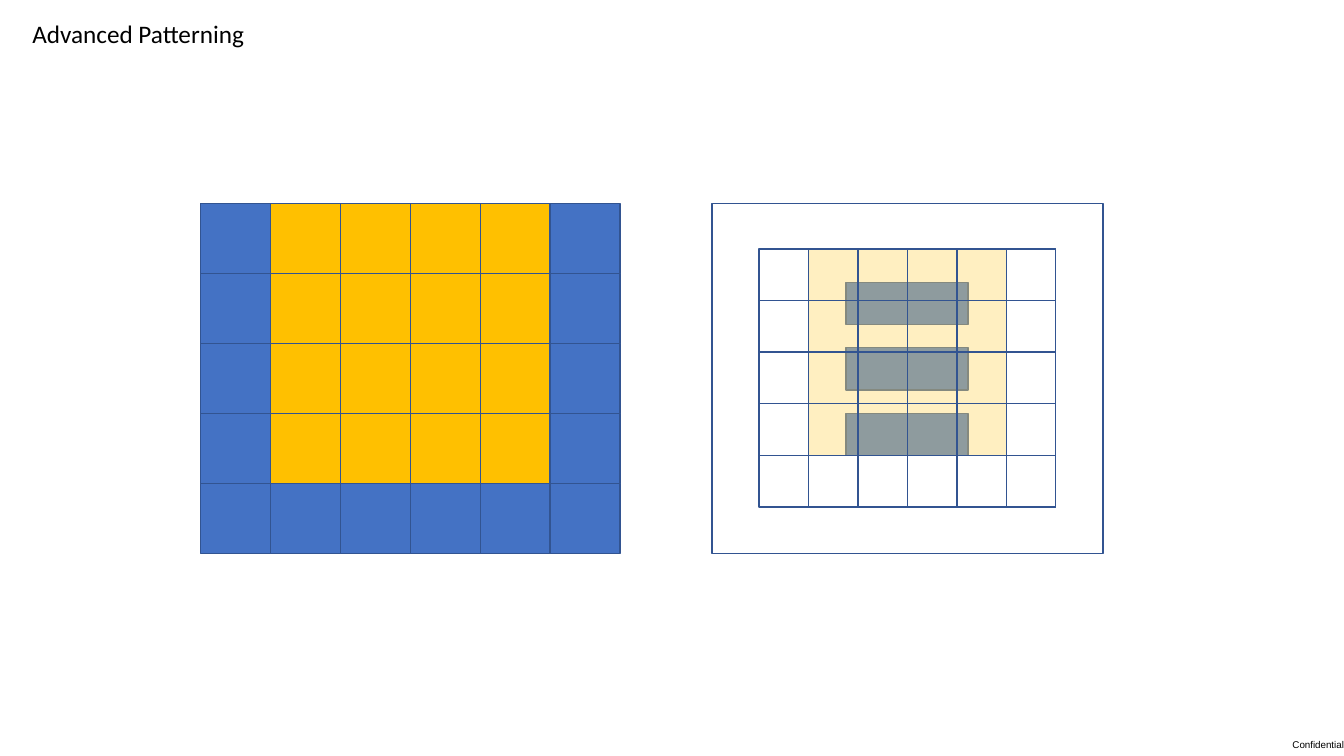
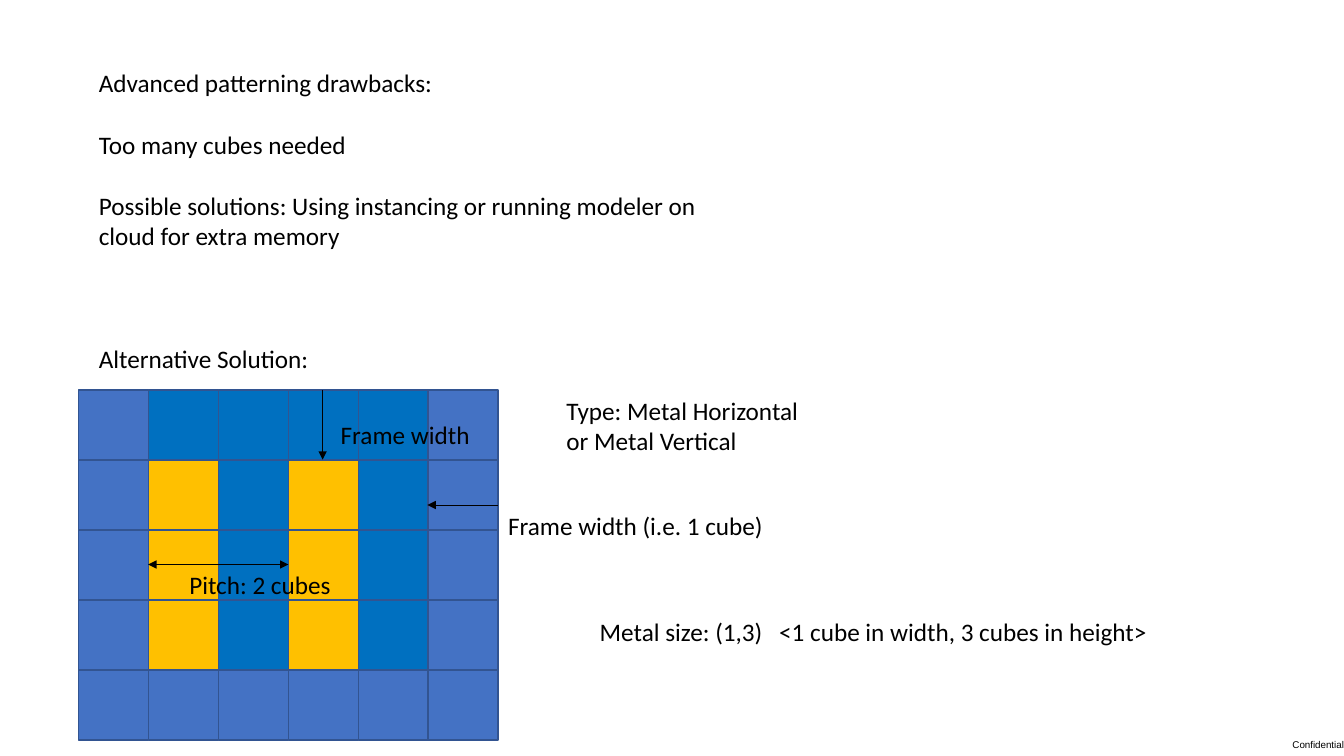
from lxml.etree import SubElement
from pptx import Presentation
from pptx.dml.color import RGBColor
from pptx.enum.shapes import MSO_CONNECTOR as Connector, MSO_SHAPE as Shape
from pptx.enum.text import MSO_ANCHOR as Anchor, MSO_AUTO_SIZE as AutoSize, PP_ALIGN as Align
from pptx.oxml.ns import qn
from pptx.util import Inches, Pt

BLUE, DEEP_BLUE, GOLD, PALE_GOLD = "4472C4", "0070C0", "FFC000", "FFD966"
OUTLINE, BLACK, WHITE = "325491", "000000", "FFFFFF"
LINE_HEIGHT = 22  # points, one line of 18 pt text


def color(hex_code):
    return RGBColor.from_string(hex_code)


class Sheet:
    """Shared style and the current slide."""
    font, size = "Calibri", 18

    def __init__(self):
        self.deck = Presentation()
        self.deck.slide_width, self.deck.slide_height = Inches(13.33), Inches(7.5)
        self.page = None

    def new_page(self, layout):
        self.page = self.deck.slides.add_slide(self.deck.slide_layouts[layout])
        footer = self.text("Confidential", 12.57, 7.28, 0.76, 0.22, size=7, font="Arial")
        frame = footer.text_frame
        frame.margin_left = frame.margin_right = frame.margin_top = frame.margin_bottom = 0
        frame.vertical_anchor = Anchor.MIDDLE
        frame.paragraphs[0].alignment = Align.RIGHT

    def place(self, box, left, top, width, height):
        box.left, box.top = Inches(left), Inches(top)
        box.width, box.height = Inches(width), Inches(height)

    def format(self, box, size=None, font=None):
        frame = box.text_frame
        frame.word_wrap, frame.auto_size = True, AutoSize.NONE
        frame.vertical_anchor = Anchor.TOP
        for para in frame.paragraphs:
            para.alignment = Align.LEFT
            para.space_before = Pt(0)
            for span in para.runs:
                span.font.name = font or self.font
                span.font.size = Pt(size or self.size)
                span.font.color.rgb = color(BLACK)

    def text(self, words, left, top, width, height=0.4, size=None, font=None):
        box = self.page.shapes.add_textbox(
            Inches(left), Inches(top), Inches(width), Inches(height))
        box.text_frame.text = words
        self.format(box, size, font)
        return box

    def title(self, words, left, top, width):
        box = self.page.shapes.title
        self.place(box, left, top, width, 0.4)
        box.text_frame.text = words
        self.format(box)

    def body(self, items, left, top, width, height):
        """Plain list; each item is its text and the blank lines above it."""
        box = self.page.placeholders[1]
        self.place(box, left, top, width, height)
        box.text_frame.text = "\n".join(words for words, _ in items)
        self.format(box)
        for para, (_, gap) in zip(box.text_frame.paragraphs, items):
            para.space_before = Pt(gap * LINE_HEIGHT)
            props = para._p.get_or_add_pPr()
            props.set("marL", "0")
            props.set("indent", "0")
            SubElement(props, qn("a:buNone"))

    def tab_stop(self, box, position):
        props = box.text_frame.paragraphs[0]._p.get_or_add_pPr()
        stops = SubElement(props, qn("a:tabLst"))
        SubElement(stops, qn("a:tab"), pos=str(Inches(position)), algn="l")

    def group(self):
        return self.page.shapes.add_group_shape()

    def rect(self, group, left, top, width, height, fill=None, opacity=100):
        shape = group.shapes.add_shape(
            Shape.RECTANGLE, Inches(left), Inches(top), Inches(width), Inches(height))
        shape.shadow.inherit = False
        shape.line.color.rgb, shape.line.width = color(OUTLINE), Pt(1)
        if fill is None:
            shape.fill.background()
            return
        shape.fill.solid()
        shape.fill.fore_color.rgb = color(fill)
        if opacity < 100:
            tint = shape._element.spPr.find(qn("a:solidFill"))[0]
            SubElement(tint, qn("a:alpha"), val=str(opacity * 1000))

    def grid(self, group, pattern, fills, left, top, width, height, opacity=100):
        """One cell per letter of the pattern; fills gives each letter's colour."""
        cell_width, cell_height = width / len(pattern[0]), height / len(pattern)
        for row, letters in enumerate(pattern):
            for column, letter in enumerate(letters):
                self.rect(group, left + column * cell_width, top + row * cell_height,
                          cell_width, cell_height, fills[letter], opacity)

    def arrow(self, start, end, both=False):
        line = self.page.shapes.add_connector(
            Connector.STRAIGHT, *(Inches(value) for value in (*start, *end)))
        line.line.color.rgb, line.line.width = color(BLACK), Pt(0.5)
        outline = line.line._get_or_add_ln()
        for tag in ("a:headEnd", "a:tailEnd") if both else ("a:tailEnd",):
            SubElement(outline, qn(tag), type="triangle")
        SubElement(line._element.spPr, qn("a:effectLst"))


sheet = Sheet()
GRID_SIZE = (4.16, 3.47)
CORE_PATTERN = ["FCCCCF"] * 4 + ["FFFFFF"]

# Slide 1: cube grid and the same grid laid over metal bars
sheet.new_page(5)
sheet.title("Advanced Patterning", 0.22, 0.13, 3.16)
sheet.grid(sheet.group(), CORE_PATTERN, {"F": BLUE, "C": GOLD}, 1.99, 2.02, *GRID_SIZE)

overlay = sheet.group()
sheet.rect(overlay, 7.06, 2.02, 3.88, 3.47, WHITE)
for bar in range(3):
    sheet.rect(overlay, 8.39, 2.8 + bar * 0.65, 1.21, 0.42, BLUE)
sheet.rect(overlay, 7.53, 2.47, 2.94, 2.56)
sheet.grid(overlay, CORE_PATTERN, {"F": None, "C": PALE_GOLD},
           7.53, 2.47, 2.94, 2.56, opacity=40)

# Slide 2: drawbacks and the alternative
sheet.new_page(1)
sheet.title("Advanced patterning drawbacks:", 0.88, 0.62, 6.26)
sheet.body([
    ("Too many cubes needed", 0),
    ("Possible solutions: Using instancing or running modeler on cloud for extra memory", 1),
    ("Alternative Solution:", 3),
], 0.88, 1.23, 6.26, 3.13)

# Metal columns inside a frame
METAL_PATTERN = ["FDDDDF"] + ["FMDMDF"] * 3 + ["FFFFFF"]
sheet.grid(sheet.group(), METAL_PATTERN, {"F": BLUE, "D": DEEP_BLUE, "M": GOLD},
           0.78, 3.87, *GRID_SIZE)

# Dimensions and labels
sheet.arrow((3.2, 3.87), (3.2, 4.56))
sheet.arrow((4.94, 5.01), (4.24, 5.01))
sheet.arrow((1.47, 5.6), (2.86, 5.6), both=True)
sheet.text("Frame width", 3.28, 4.11, 5.71)
sheet.text("Frame width (i.e. 1 cube)", 4.94, 5.01, 5.71)
sheet.text("Type: Metal Horizontal or Metal Vertical", 5.52, 3.87, 2.53, 1.01)
sheet.text("Pitch: 2 cubes", 1.78, 5.6, 3.07)
metal_size = sheet.text("Metal size: (1,3)\t<1 cube in width, 3 cubes in height>", 5.85, 6.07, 7.4)
sheet.tab_stop(metal_size, 1.78)

sheet.deck.save("out.pptx")
